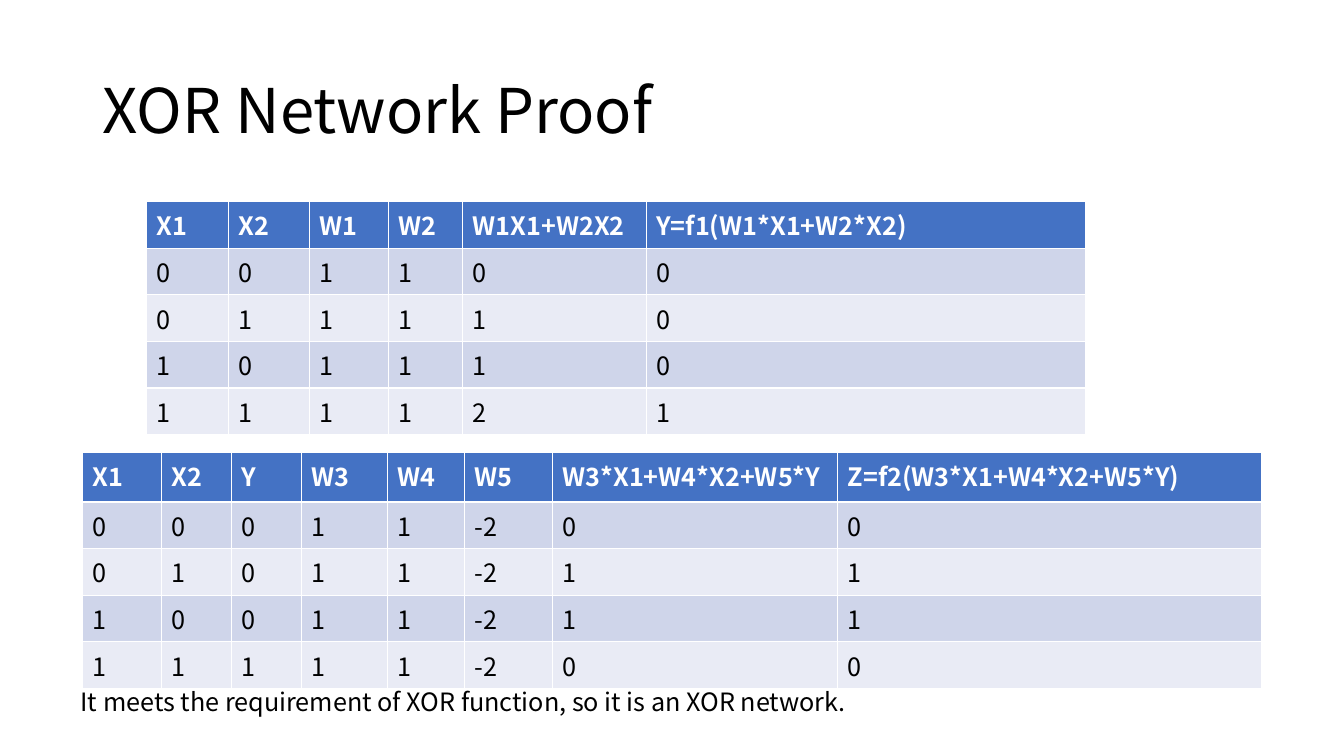
from pptx import Presentation
from pptx.dml.color import RGBColor
from pptx.enum.text import MSO_ANCHOR, PP_ALIGN
from pptx.util import Inches, Pt

FONT = "Noto Sans CJK SC"
BLACK = RGBColor(0x00, 0x00, 0x00)
WHITE = RGBColor(0xFF, 0xFF, 0xFF)
BLUE = RGBColor(0x44, 0x72, 0xC4)
BANDS = [RGBColor(0xE9, 0xEB, 0xF5), RGBColor(0xCF, 0xD5, 0xEA)]
LEFT = PP_ALIGN.LEFT
MIDDLE = MSO_ANCHOR.MIDDLE

TITLE = {"size": Pt(44), "name": FONT, "bold": False}
BODY = {"size": Pt(18), "name": FONT, "bold": False}
HEAD = {**BODY, "bold": True}

# Each table: header, then one row per input pair
HIDDEN = [
    ["X1", "X2", "W1", "W2", "W1X1+W2X2", "Y=f1(W1*X1+W2*X2)"],
    [0, 0, 1, 1, 0, 0],
    [0, 1, 1, 1, 1, 0],
    [1, 0, 1, 1, 1, 0],
    [1, 1, 1, 1, 2, 1],
]
OUTPUT = [
    ["X1", "X2", "Y", "W3", "W4", "W5",
     "W3*X1+W4*X2+W5*Y", "Z=f2(W3*X1+W4*X2+W5*Y)"],
    [0, 0, 0, 1, 1, -2, 0, 0],
    [0, 1, 0, 1, 1, -2, 1, 1],
    [1, 0, 0, 1, 1, -2, 1, 1],
    [1, 1, 1, 1, 1, -2, 0, 0],
]


def write(frame, text, style, color):
    """Put one formatted run into a text frame."""
    para = frame.paragraphs[0]
    para.alignment = LEFT
    run = para.add_run()
    run.text = text
    for name, value in style.items():
        setattr(run.font, name, value)
    run.font.color.rgb = color
    return para


def add_title(slide, text, box):
    title = slide.shapes.title
    title.left, title.top, title.width, title.height = map(Inches, box)
    title.text_frame.vertical_anchor = MIDDLE
    write(title.text_frame, text, TITLE, BLACK).line_spacing = 0.9


def add_note(slide, text, box):
    frame = slide.shapes.add_textbox(*map(Inches, box)).text_frame
    frame.word_wrap = True
    write(frame, text, BODY, BLACK)


def add_grid(slide, data, left, top, widths, heights):
    """Add a banded table; the default style draws its white rules."""
    box = map(Inches, (left, top, sum(widths), sum(heights)))
    table = slide.shapes.add_table(len(data), len(widths), *box).table
    for col, width in zip(table.columns, widths):
        col.width = Inches(width)
    for row, height in zip(table.rows, heights):
        row.height = Inches(height)
    for i, values in enumerate(data):
        fill, style, color = (BANDS[i % 2], BODY, BLACK) if i else (BLUE, HEAD, WHITE)
        for j, value in enumerate(values):
            cell = table.cell(i, j)
            cell.fill.solid()
            cell.fill.fore_color.rgb = fill
            write(cell.text_frame, str(value), style, color)


def main():
    deck = Presentation()
    deck.slide_width, deck.slide_height = Inches(13.33), Inches(7.5)
    slide = deck.slides.add_slide(deck.slide_layouts[5])

    # Title
    add_title(slide, "XOR Network Proof", (0.92, 0.4, 11.5, 1.45))

    # Hidden unit, then output unit
    add_grid(slide, HIDDEN, 1.45, 2,
             [0.82, 0.8, 0.78, 0.74, 1.82, 4.36], [0.42] * 5)
    add_grid(slide, OUTPUT, 0.82, 4.49,
             [0.78, 0.7, 0.69, 0.85, 0.77, 0.87, 2.83, 4.2],
             [0.49, 0.4, 0.4, 0.4, 0.38])

    # Conclusion
    add_note(slide, "It meets the requirement of XOR function, so it is an XOR network.",
             (0.7, 6.76, 9.72, 0.41))
    deck.save("out.pptx")


if __name__ == "__main__":
    main()
